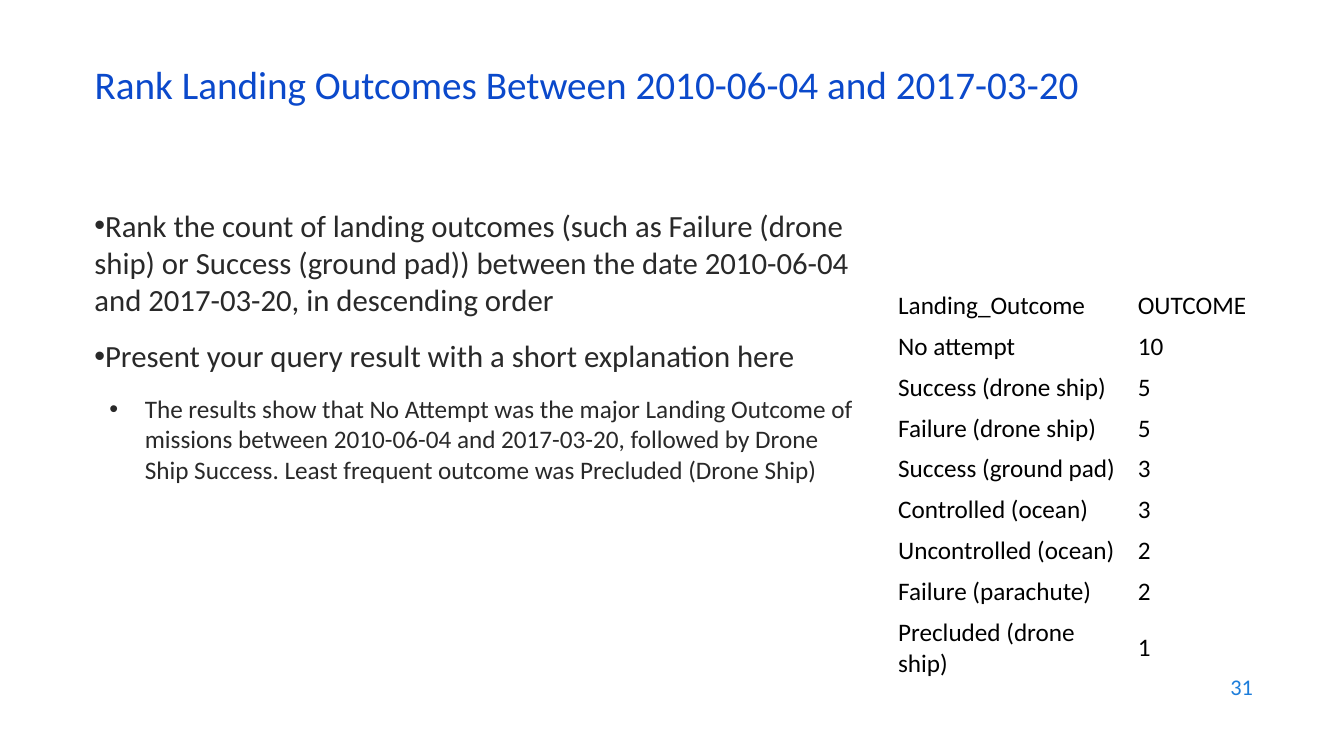
from dataclasses import dataclass

from lxml import etree
from pptx import Presentation
from pptx.dml.color import RGBColor
from pptx.enum.text import MSO_ANCHOR, MSO_AUTO_SIZE, PP_ALIGN
from pptx.oxml.ns import qn
from pptx.util import Cm, Pt

MIDDLE, TOP = MSO_ANCHOR.MIDDLE, MSO_ANCHOR.TOP
LEFT, RIGHT = PP_ALIGN.LEFT, PP_ALIGN.RIGHT
NO_AUTOFIT = MSO_AUTO_SIZE.NONE
TITLE_ONLY = 5

TITLE = "Rank Landing Outcomes Between 2010-06-04 and 2017-03-20"
BULLETS = [
    (0, "Rank the count of landing outcomes (such as Failure (drone ship) or Success "
        "(ground pad)) between the date 2010-06-04 and 2017-03-20, in descending order"),
    (0, "Present your query result with a short explanation here"),
    (1, "The results show that No Attempt was the major Landing Outcome of missions "
        "between 2010-06-04 and 2017-03-20, followed by Drone Ship Success. "
        "Least frequent outcome was Precluded (Drone Ship)"),
]
OUTCOMES = [
    ("Landing_Outcome", "OUTCOME"),
    ("No attempt", 10),
    ("Success (drone ship)", 5),
    ("Failure (drone ship)", 5),
    ("Success (ground pad)", 3),
    ("Controlled (ocean)", 3),
    ("Uncontrolled (ocean)", 2),
    ("Failure (parachute)", 2),
    ("Precluded (drone ship)", 1),
]


@dataclass(frozen=True)
class Theme:
    font: str = "Calibri"
    title_color: str = "0B49CB"
    body_color: str = "292929"
    table_color: str = "000000"
    number_color: str = "1C7DDB"
    title_size: int = 28
    body_sizes: tuple = (22, 18)
    table_size: int = 18
    number_size: int = 16
    bullet_gap: int = 14
    # margin and hanging indent of each bullet level, in centimetres
    bullet_indents: tuple = ((0, 0), (1.27, -0.89))


class SlideBuilder:
    def __init__(self, deck, theme):
        self.theme = theme
        self.slide = deck.slides.add_slide(deck.slide_layouts[TITLE_ONLY])

    def style_para(self, para, size, color, align=LEFT):
        para.alignment = align
        for span in para.runs:
            span.font.name = self.theme.font
            span.font.size = Pt(size)
            span.font.color.rgb = RGBColor.from_string(color)

    def prepare_frame(self, frame, anchor):
        frame.word_wrap = True
        frame.auto_size = NO_AUTOFIT
        frame.vertical_anchor = anchor

    def title(self, text, left, top, width, height):
        box = self.slide.shapes.title
        box.left, box.top, box.width, box.height = left, top, width, height
        self.prepare_frame(box.text_frame, MIDDLE)
        box.text_frame.text = text
        para = box.text_frame.paragraphs[0]
        para.line_spacing = 0.7
        self.style_para(para, self.theme.title_size, self.theme.title_color)

    def bullets(self, items, left, top, width, height):
        frame = self.slide.shapes.add_textbox(left, top, width, height).text_frame
        self.prepare_frame(frame, TOP)
        for index, (level, text) in enumerate(items):
            para = frame.add_paragraph() if index else frame.paragraphs[0]
            para.text = text
            para.level = level
            if index:
                para.space_before = Pt(self.theme.bullet_gap)
            margin, hanging = self.theme.bullet_indents[level]
            properties = para._p.get_or_add_pPr()
            properties.set("marL", str(Cm(margin)))
            properties.set("indent", str(Cm(hanging)))
            etree.SubElement(properties, qn("a:buFont"), typeface="Arial")
            etree.SubElement(properties, qn("a:buChar"), char="•")
            self.style_para(para, self.theme.body_sizes[level], self.theme.body_color)

    def table(self, rows, left, top, column_width, row_height, last_height):
        columns = len(rows[0])
        height = row_height * (len(rows) - 1) + last_height
        table = self.slide.shapes.add_table(
            len(rows), columns, left, top, column_width * columns, height).table
        table.first_row = False
        table.horz_banding = False
        for row, values in zip(table.rows, rows):
            row.height = row_height
            for cell, value in zip(row.cells, values):
                cell.fill.background()
                cell.vertical_anchor = MIDDLE
                cell.text_frame.text = str(value)
                self.style_para(cell.text_frame.paragraphs[0],
                                self.theme.table_size, self.theme.table_color)
        table.rows[len(rows) - 1].height = last_height

    def page_number(self, number, left, top, width, height):
        frame = self.slide.shapes.add_textbox(left, top, width, height).text_frame
        self.prepare_frame(frame, MIDDLE)
        frame.text = str(number)
        self.style_para(frame.paragraphs[0], self.theme.number_size,
                        self.theme.number_color, RIGHT)


def main():
    deck = Presentation()
    deck.slide_width, deck.slide_height = Cm(33.87), Cm(19.05)
    page = SlideBuilder(deck, Theme())
    page.title(TITLE, Cm(2.13), Cm(1.5), Cm(29.21), Cm(1.52))
    page.bullets(BULLETS, Cm(2.13), Cm(5.08), Cm(19.96), Cm(12.09))
    page.table(OUTCOMES, Cm(22.38), Cm(7.19), Cm(6.04), Cm(1.03), Cm(1.67))
    page.page_number(31, Cm(24.21), Cm(16.74), Cm(7.62), Cm(1.12))
    deck.save("out.pptx")


if __name__ == "__main__":
    main()
